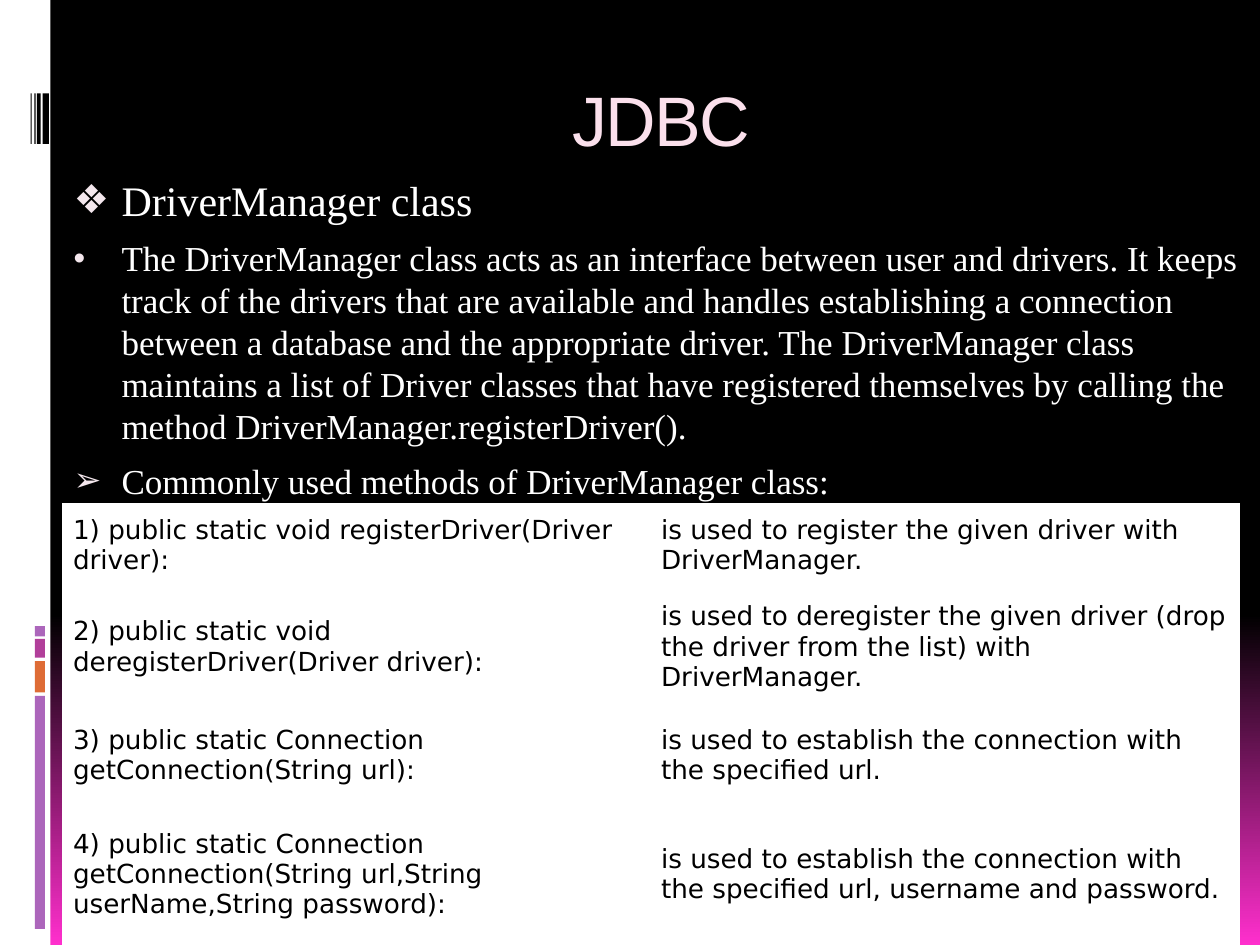
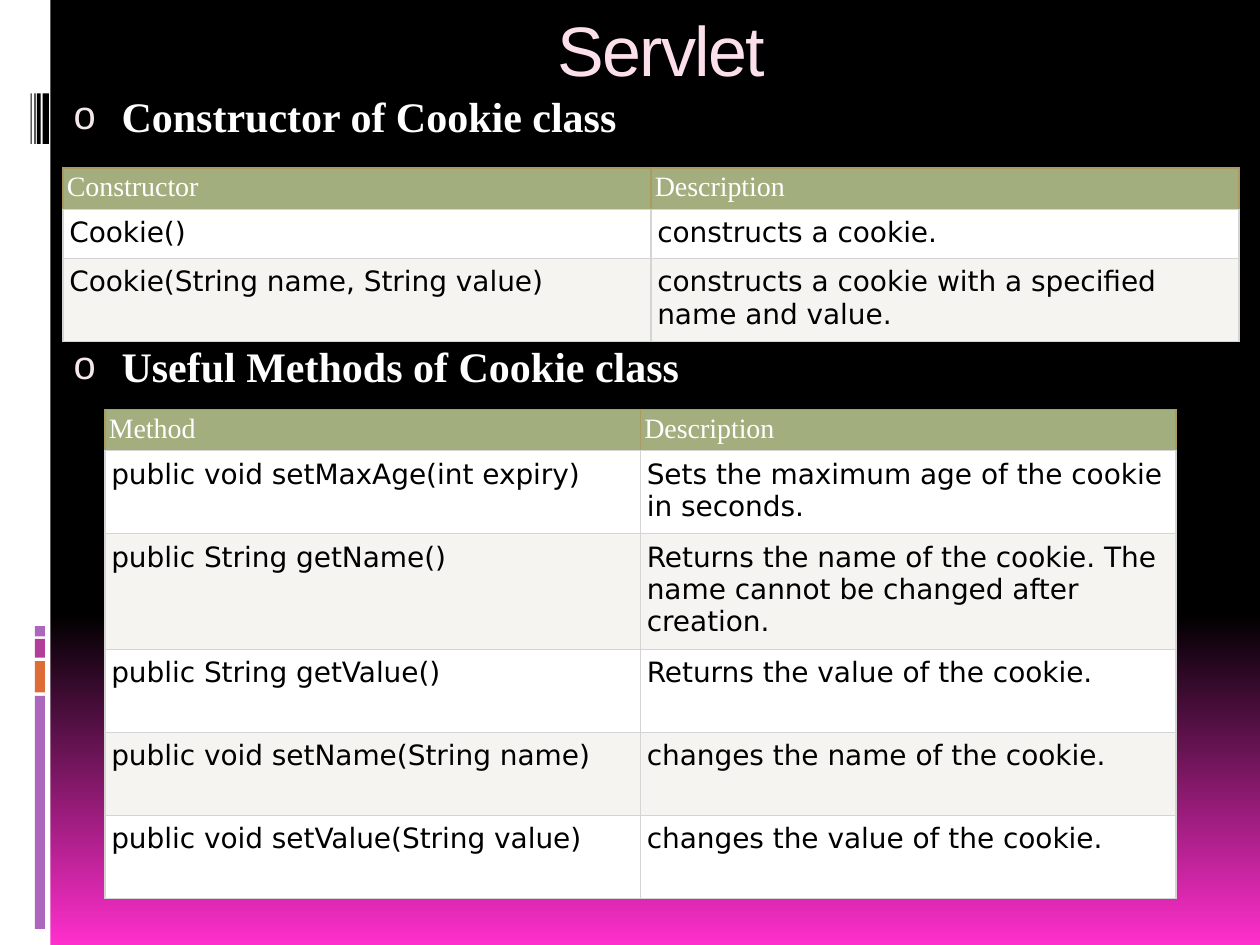
from lxml.etree import SubElement
from pptx import Presentation
from pptx.dml.color import RGBColor
from pptx.enum.shapes import MSO_SHAPE
from pptx.enum.text import MSO_ANCHOR, PP_ALIGN
from pptx.oxml import parse_xml
from pptx.oxml.ns import nsdecls, qn
from pptx.util import Inches, Pt

COLORS = {
    "black": "000000", "white": "FFFFFF", "pink": "FF2FCD",
    "title": "FBE0EC", "bullet": "F4E7ED",
    "violet": "AC66BB", "orange": "DE6C36", "magenta": "B13F9A",
    "header": "A3AE7E", "band": "F6F4F0", "gold": "AB9A61", "grey": "D4D4D4",
}
SANS, SERIF, MONO = "Arial", "Times New Roman", "DejaVu Sans"

# The grid has 120 columns and 90 rows, 12 to the inch
SIDE_BARS = [(66.27, 22.2, "violet"), (62.97, 2.97, "orange"),
             (60.84, 1.8, "magenta"), (59.64, 0.96, "violet")]
BARCODE = [(4.07, 0.6), (3.51, 0.38), (3.27, 0.14), (2.91, 0.12)]


def grid(n):
    return Inches(n / 12)


def rgb(name):
    return RGBColor.from_string(COLORS[name])


class Deck:
    def __init__(self):
        self.prs = Presentation()
        self.prs.slide_width, self.prs.slide_height = grid(120), grid(90)
        self.s = None

    def slide(self, title, title_row):
        self.s = self.prs.slides.add_slide(self.prs.slide_layouts[6])
        # Background: black down to 65 %, then fading to pink
        fill = self.s.background.fill
        fill.gradient()
        fill.gradient_angle = 270
        for stop, pos, color in zip(fill.gradient_stops, (0.65, 1), ("black", "pink")):
            stop.position, stop.color.rgb = pos, rgb(color)
        # Side strip with its bars
        self.rect(0, 0, 4.8, 90, "white")
        for top, height, color in SIDE_BARS:
            self.rect(3.33, top, 0.96, height, color)
        for left, width in BARCODE:
            self.rect(left, 8.9, width, 4.8, "black")
        # Title
        p = self.box(12, title_row, 102, 12).paragraphs[0]
        p.alignment = PP_ALIGN.CENTER
        r = self.run(p, title, 40, SANS, "title")
        r._r.get_or_add_rPr().set("spc", "-100")

    def rect(self, x, y, w, h, color):
        sp = self.s.shapes.add_shape(MSO_SHAPE.RECTANGLE, *map(grid, (x, y, w, h)))
        sp.shadow.inherit = False
        sp.fill.solid()
        sp.fill.fore_color.rgb = rgb(color)
        sp.line.fill.background()

    def box(self, x, y, w, h):
        tf = self.s.shapes.add_textbox(*map(grid, (x, y, w, h))).text_frame
        tf.word_wrap = True
        return tf

    def run(self, p, text, size, font, color, bold=False):
        r = p.add_run()
        r.text = text
        r.font.size, r.font.name, r.font.bold = Pt(size), font, bold
        r.font.color.rgb = rgb(color)
        return r

    def bullets(self, row, items):
        """Each item: bullet, text, size, bold, space before, line height."""
        tf = self.box(5, row, 115, 90 - row)
        for i, (mark, text, size, bold, before, line) in enumerate(items):
            p = tf.add_paragraph() if i else tf.paragraphs[0]
            pPr = p._p.get_or_add_pPr()
            pPr.set("marL", str(Inches(0.45)))
            pPr.set("indent", str(Inches(-0.38)))
            clr = SubElement(pPr, qn("a:buClr"))
            SubElement(clr, qn("a:srgbClr"), val=COLORS["bullet"])
            SubElement(pPr, qn("a:buSzPct"), val="95000")
            SubElement(pPr, qn("a:buFont"), typeface=SANS)
            SubElement(pPr, qn("a:buChar"), char=mark)
            p.space_before = Pt(before)
            if line:
                p.line_spacing = Pt(line)
            self.run(p, text, size, SERIF, "white", bold)

    def table(self, x, y, width, heights, rows, size, inset, header=False):
        gf = self.s.shapes.add_table(len(rows), 2, *map(grid, (x, y, width, sum(heights))))
        tbl = gf.table
        tbl.first_row = tbl.horz_banding = False
        for col in tbl.columns:
            col.width = grid(width / 2)
        for i, (height, texts) in enumerate(zip(heights, rows)):
            tbl.rows[i].height = grid(height)
            head = header and i == 0
            fill = "header" if head else "band" if header and i % 2 == 0 else "white"
            for j, text in enumerate(texts):
                cell = tbl.cell(i, j)
                dx, dy = (0.03, 0.03) if head else inset
                cell.margin_left = cell.margin_right = Inches(dx)
                cell.margin_top = cell.margin_bottom = Inches(dy)
                cell.vertical_anchor = MSO_ANCHOR.TOP if header else MSO_ANCHOR.MIDDLE
                cell.fill.solid()
                cell.fill.fore_color.rgb = rgb(fill)
                font, color = (SERIF, "white") if head else (MONO, "black")
                self.run(cell.text_frame.paragraphs[0], text, size, font, color)
                if header:
                    self.borders(cell, "gold" if head else "grey")

    def borders(self, cell, color):
        sides = {"L": color, "R": color, "T": color, "B": "grey"}
        for i, (side, name) in enumerate(sides.items()):
            cell._tc.get_or_add_tcPr().insert(i, parse_xml(
                f'<a:ln{side} {nsdecls("a")} w="{Pt(0.75)}"><a:solidFill>'
                f'<a:srgbClr val="{COLORS[name]}"/></a:solidFill></a:ln{side}>'))


def main():
    deck = Deck()

    # JDBC: driver manager and its methods
    deck.slide("JDBC", 6.7)
    deck.bullets(16, [
        ("❖", "DriverManager class", 24, False, 0, None),
        ("•", "The DriverManager class acts as an interface between user and drivers. "
              "It keeps track of the drivers that are available and handles establishing "
              "a connection between a database and the appropriate driver. The "
              "DriverManager class maintains a list of Driver classes that have registered "
              "themselves by calling the method DriverManager.registerDriver().",
         20, False, 7, 24),
        ("➢", "Commonly used methods of DriverManager class:", 20, False, 7, 24),
    ])
    deck.table(6, 48, 112, [7.92, 11.4, 9.24, 13.44], [
        ("1) public static void registerDriver(Driver driver):",
         "is used to register the given driver with DriverManager."),
        ("2) public static void deregisterDriver(Driver driver):",
         "is used to deregister the given driver (drop the driver from the list) "
         "with DriverManager."),
        ("3) public static Connection getConnection(String url):",
         "is used to establish the connection with the specified url."),
        ("4) public static Connection getConnection(String url,String userName,"
         "String password):",
         "is used to establish the connection with the specified url, username "
         "and password."),
    ], size=15, inset=(0.08, 0.04))

    # Servlet: cookie constructors and methods
    deck.slide("Servlet", 0)
    deck.bullets(8, [
        ("o", "Constructor of Cookie class", 24, True, 0, None),
        ("o", "Useful Methods of Cookie class", 24, True, 114, None),
    ])
    one_line, two_lines, three_lines, head = 4.7, 7.9, 11.05, 3.8
    deck.table(6, 16, 112, [head, one_line, two_lines], [
        ("Constructor", "Description"),
        ("Cookie()", "constructs a cookie."),
        ("Cookie(String name, String value)",
         "constructs a cookie with a specified name and value."),
    ], size=16, inset=(0.05, 0.06), header=True)
    deck.table(10, 39, 102, [head, two_lines, three_lines] + [two_lines] * 3, [
        ("Method", "Description"),
        ("public void setMaxAge(int expiry)",
         "Sets the maximum age of the cookie in seconds."),
        ("public String getName()",
         "Returns the name of the cookie. The name cannot be changed after creation."),
        ("public String getValue()", "Returns the value of the cookie."),
        ("public void setName(String name)", "changes the name of the cookie."),
        ("public void setValue(String value)", "changes the value of the cookie."),
    ], size=16, inset=(0.05, 0.06), header=True)

    deck.prs.save("out.pptx")


if __name__ == "__main__":
    main()
